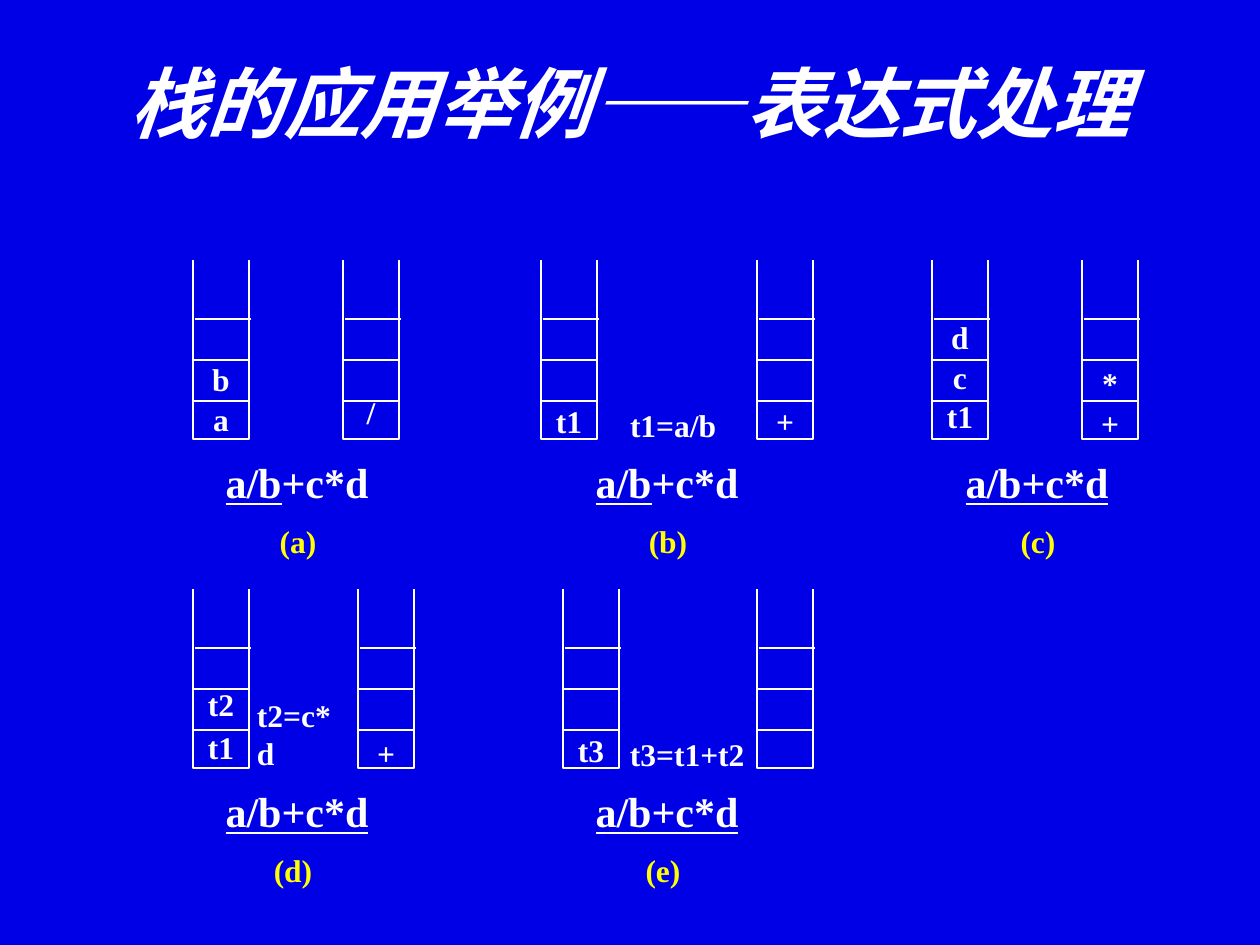
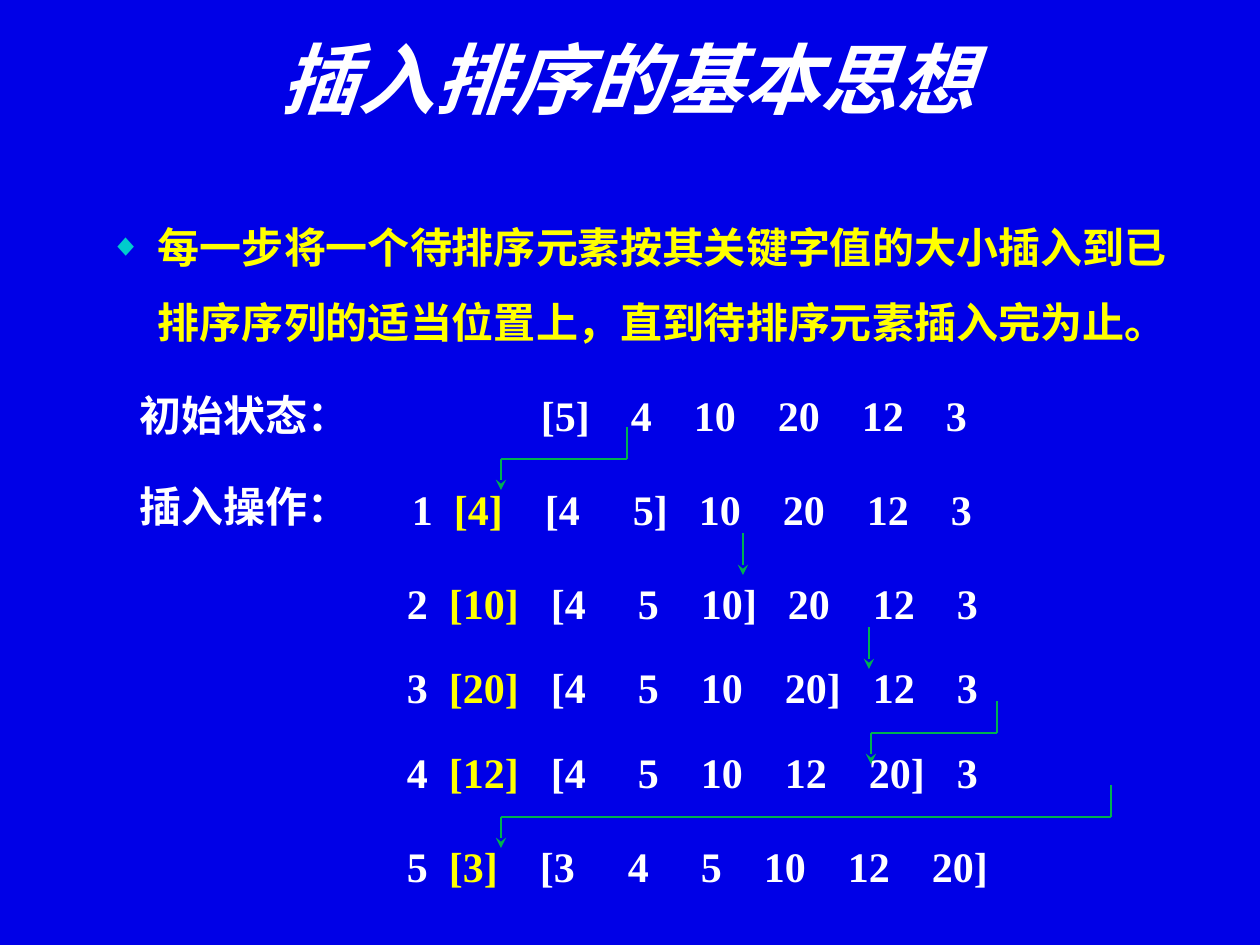
from itertools import pairwise

from lxml import etree
from pptx import Presentation
from pptx import util as u
from pptx.dml.color import RGBColor
from pptx.enum import shapes, text
from pptx.oxml.ns import qn

PX = 914400 // 126
FONT = "Times New Roman"
BLUE, WHITE, YELLOW = "0000E7", "FFFFFF", "FFFF00"
GREEN, TEAL = "00B050", "00CCCC"
MID, LEFT, JUST = text.PP_ALIGN.CENTER, text.PP_ALIGN.LEFT, text.PP_ALIGN.JUSTIFY


def write(box, paras, size=18, color=WHITE, align=MID, gap=0, inset=(0, 0),
          tabs=(), italic=False):
    """Fill a shape; a paragraph is a list of (text, format) runs or a string."""
    frame = box.text_frame
    frame.word_wrap = True
    frame.vertical_anchor = text.MSO_ANCHOR.TOP
    frame.margin_left = frame.margin_right = inset[0] * PX
    frame.margin_top = frame.margin_bottom = inset[1] * PX
    for i, runs in enumerate(paras):
        para = frame.add_paragraph() if i else frame.paragraphs[0]
        para.alignment = align
        if i:
            para.space_before = gap * PX
        if tabs:
            stops = etree.SubElement(para._p.get_or_add_pPr(), qn("a:tabLst"))
            for x in tabs:
                etree.SubElement(stops, qn("a:tab"), pos=str(x * PX), algn="l")
        for words, look in [(runs, {})] if isinstance(runs, str) else runs:
            run = para.add_run()
            run.text = words
            font = run.font
            font.name, font.size, font.bold = FONT, u.Pt(size), True
            font.italic = italic
            font.underline = look.get("line", False)
            font.color.rgb = RGBColor.from_string(look.get("color", color))
    return frame


def draw(slide, points, color=WHITE, width=0.75, arrow=False):
    """Join the points with straight lines, with an arrowhead on the last."""
    for start, end in pairwise(points):
        line = slide.shapes.add_connector(
            shapes.MSO_CONNECTOR.STRAIGHT, *(n * PX for n in start + end))
        line.line.color.rgb = RGBColor.from_string(color)
        line.line.width = u.Pt(width)
        etree.SubElement(line._element.spPr, qn("a:effectLst"))
    if arrow:
        etree.SubElement(line.line._get_or_add_ln(), qn("a:tailEnd"), type="stealth")


deck = Presentation()
deck.slide_width, deck.slide_height = 1260 * PX, 945 * PX

# Shared background and title
slides = []
for layout, title, x, y in [(5, "栈的应用举例——表达式处理", 87, 50),
                            (1, "插入排序的基本思想", 84, 26)]:
    slide = deck.slides.add_slide(deck.slide_layouts[layout])
    slide.background.fill.solid()
    slide.background.fill.fore_color.rgb = RGBColor.from_string(BLUE)
    head = slide.shapes.title
    head.left, head.top, head.width, head.height = (n * PX for n in (x, y, 1086, 183))
    write(head, [title], size=44, inset=(13, 6), italic=True)
    slides.append(slide)
stack, sort = slides

# Stack panels: name, column, row, underlined part, rest, name offset,
# slots (left, text top, gap, items), note (left, top, width, text)
panels = [
    ("(a)", 0, 0, "a/b", "+c*d", 84,
     [(193, 360, 2, ["b", "a"]), (343, 393, 0, ["/"])], None),
    ("(b)", 1, 0, "a/b", "+c*d", 84,
     [(541, 402, 0, ["t1"]), (757, 402, 0, ["+"])], (630, 406, 131, "t1=a/b")),
    ("(c)", 2, 0, "a/b+c*d", "", 84,
     [(932, 318, 2, ["d", "c", "t1"]), (1082, 364, 2, ["*", "+"])], None),
    ("(d)", 0, 1, "a/b+c*d", "", 79,
     [(193, 685, 5, ["t2", "t1"]), (358, 734, 0, ["+"])], (257, 696, 88, "t2=c*d")),
    ("(e)", 1, 1, "a/b+c*d", "", 79,
     [(563, 731, 0, ["t3"]), (757, 0, 0, [])], (630, 735, 126, "t3=t1+t2")),
]
SLOT, DEEP = 56, 179
for name, col, row, done, rest, shift, slots, note in panels:
    left, top = 193 + 370 * col, 260 + 329 * row
    for x, y, gap, items in slots:
        path = stack.shapes.build_freeform(x, top, scale=PX)
        path.add_line_segments(
            [(x, top + DEEP), (x + SLOT, top + DEEP), (x + SLOT, top)], close=False)
        wall = path.convert_to_shape()
        wall.shadow.inherit = False
        wall.fill.background()
        wall.line.color.rgb = RGBColor.from_string(WHITE)
        wall.line.width = u.Pt(0.75)
        for drop, nudge in [(141, 0), (100, 0), (59, 2)]:
            draw(stack, [(x + nudge, top + drop), (x + SLOT + nudge, top + drop)])
        if items:
            box = stack.shapes.add_textbox(
                (x + 5) * PX, y * PX, 46 * PX, 38 * len(items) * PX)
            write(box, items, gap=gap)
    box = stack.shapes.add_textbox(left * PX, (top + 197) * PX, 208 * PX, 42 * PX)
    runs = [(done, {"line": True}), (rest, {})]
    write(box, [[run for run in runs if run[0]]], size=24)
    box = stack.shapes.add_textbox((left + shift) * PX, (top + 262) * PX, 42 * PX, 39 * PX)
    write(box, [name], color=YELLOW)
    if note:
        x, y, wide, words = note
        box = stack.shapes.add_textbox(x * PX, y * PX, wide * PX, 38 * PX)
        write(box, [words], align=JUST)

# Insertion sort: the idea
body = sort.placeholders[1]
body.left, body.top, body.width, body.height = (n * PX for n in (97, 190, 1086, 600))
idea = "每一步将一个待排序元素按其关键字值的大小插入到已排序序列的适当位置上，直到待排序元素插入完为止。"
para = write(body, [idea], size=24, color=YELLOW, align=LEFT, inset=(13, 6)).paragraphs[0]
para.line_spacing = 1.5
props = para._p.get_or_add_pPr()
props.set("marL", str(48 * PX))
props.set("indent", str(-48 * PX))
tint = etree.SubElement(props, qn("a:buClr"))
etree.SubElement(tint, qn("a:srgbClr"), val=TEAL)
etree.SubElement(props, qn("a:buSzPct"), val="75000")
etree.SubElement(props, qn("a:buChar"), char="◆")

# Insertion sort: each step as tabbed text (left, top, width, words, text starts)
steps = [
    (127, 384, 871, "初始状态： [5] 4 10 20 12 3", [541, 631, 694, 778, 862, 946]),
    (399, 478, 591, "1 [4] [4 5] 10 20 12 3", [454, 545, 633, 699, 783, 867, 951]),
    (394, 572, 602, "2 [10] [4 5 10] 20 12 3", [449, 551, 638, 701, 788, 873, 957]),
    (394, 656, 602, "3 [20] [4 5 10 20] 12 3", [449, 551, 638, 701, 785, 873, 957]),
    (394, 741, 602, "4 [12] [4 5 10 12 20] 3", [449, 551, 638, 701, 785, 869, 957]),
    (394, 835, 612, "5 [3] [3 4 5 10 12 20]", [449, 540, 628, 701, 764, 848, 932]),
]
for i, (x, y, wide, words, starts) in enumerate(steps):
    first, key, rest = words.split(" ", 2)
    box = sort.shapes.add_textbox(x * PX, y * PX, wide * PX, 64 * PX)
    runs = [(first + "\t", {}), (key + "\t", {"color": YELLOW if i else WHITE}),
            (rest.replace(" ", "\t"), {})]
    write(box, [runs], size=24, align=LEFT, inset=(13, 6),
          tabs=[start - x - 13 for start in starts])
box = sort.shapes.add_textbox(125 * PX, 475 * PX, 239 * PX, 64 * PX)
write(box, ["插入操作："], size=24, inset=(13, 6))

# Moves of the inserted element
for x, y, end in [(627, 427, 501), (997, 701, 871), (1111, 785, 501)]:
    draw(sort, [(x, y), (x, y + 32), (end, y + 32), (end, y + 63)], GREEN, 1, True)
for x, y in [(743, 533), (869, 627)]:
    draw(sort, [(x, y), (x, y + 42)], GREEN, 1, True)

deck.save("out.pptx")
